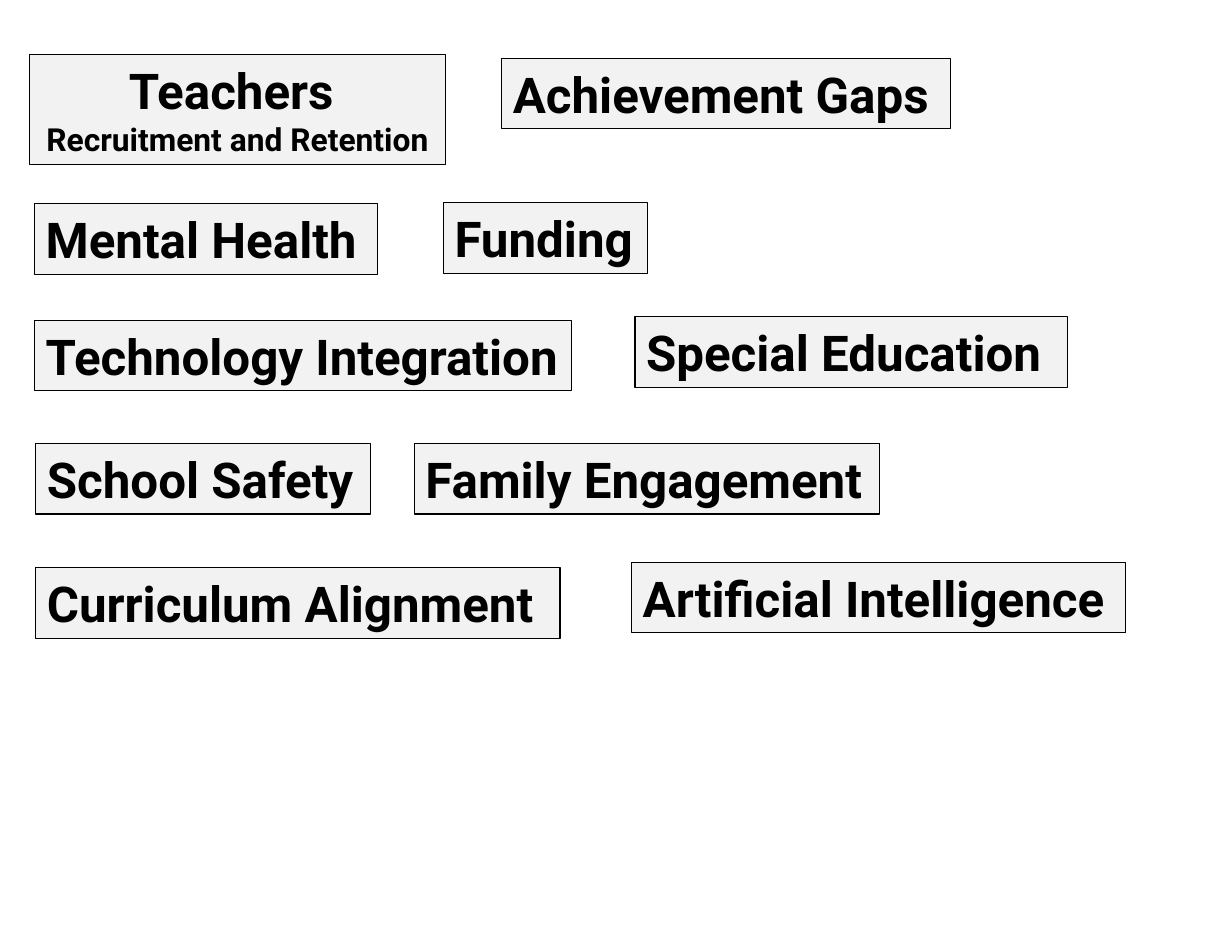
from dataclasses import dataclass

from pptx import Presentation
from pptx import util as u
from pptx.dml.color import RGBColor
from pptx.enum import shapes, text


@dataclass(frozen=True)
class Theme:
    font: str = "Roboto"
    ink: RGBColor = RGBColor(0x00, 0x00, 0x00)
    panel: RGBColor = RGBColor(0xF2, 0xF2, 0xF2)
    title_size: float = 31.7
    subtitle_size: float = 20.4
    line_width: float = 0.75


THEME = Theme()
LABEL_HEIGHT = 0.63

TEACHERS_BOX = (0.26, 0.49, 3.72, 0.98)
TOPICS = [
    ("Achievement Gaps", 4.48, 0.52, 4.01),
    ("Mental Health", 0.31, 1.82, 3.06),
    ("Funding", 3.96, 1.81, 1.82),
    ("Technology Integration", 0.31, 2.86, 4.79),
    ("School Safety", 0.32, 3.96, 2.99),
    ("Curriculum Alignment", 0.32, 5.07, 4.68),
    ("Special Education", 5.67, 2.83, 3.86),
    ("Family Engagement", 3.7, 3.96, 4.15),
    ("Artificial Intelligence", 5.64, 5.02, 4.41),
]


def add_label(slide, box, lines, alignment=text.PP_ALIGN.LEFT):
    shape = slide.shapes.add_shape(
        shapes.MSO_SHAPE.RECTANGLE, *(u.Inches(length) for length in box)
    )
    shape.shadow.inherit = False
    shape.fill.solid()
    shape.fill.fore_color.rgb = THEME.panel
    shape.line.color.rgb = THEME.ink
    shape.line.width = u.Pt(THEME.line_width)

    frame = shape.text_frame
    frame.word_wrap = True
    frame.auto_size = text.MSO_AUTO_SIZE.SHAPE_TO_FIT_TEXT
    frame.vertical_anchor = text.MSO_ANCHOR.TOP
    for index, (words, size) in enumerate(lines):
        paragraph = frame.add_paragraph() if index else frame.paragraphs[0]
        paragraph.alignment = alignment
        run = paragraph.add_run()
        run.text = words
        run.font.name = THEME.font
        run.font.size = u.Pt(size)
        run.font.bold = True
        run.font.color.rgb = THEME.ink


def build_topics_slide(presentation):
    slide = presentation.slides.add_slide(presentation.slide_layouts[6])
    add_label(
        slide,
        TEACHERS_BOX,
        [
            ("Teachers ", THEME.title_size),
            ("Recruitment and Retention", THEME.subtitle_size),
        ],
        text.PP_ALIGN.CENTER,
    )
    for topic, left, top, width in TOPICS:
        box = (left, top, width, LABEL_HEIGHT)
        add_label(slide, box, [(topic, THEME.title_size)])


def main():
    presentation = Presentation()
    presentation.slide_width = u.Inches(11)
    presentation.slide_height = u.Inches(8.5)
    build_topics_slide(presentation)
    presentation.save("out.pptx")


if __name__ == "__main__":
    main()
